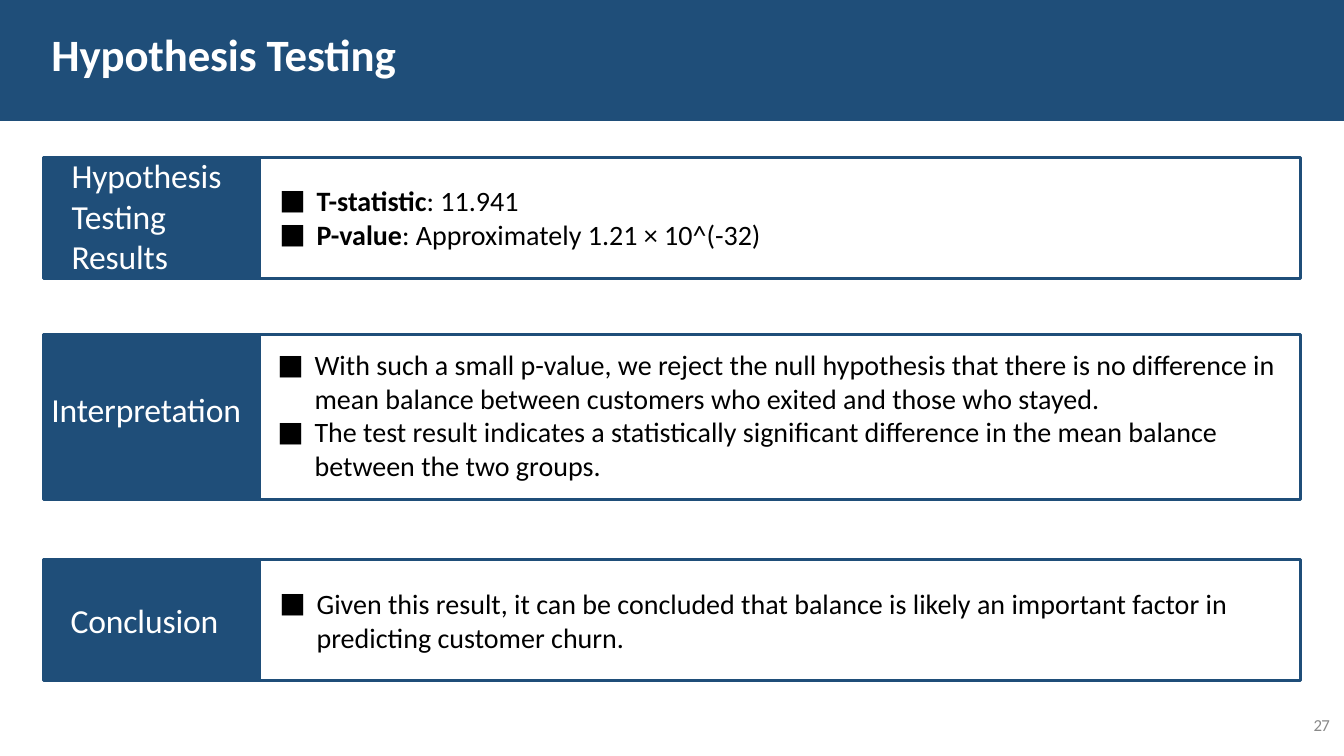
from lxml.etree import SubElement
from pptx import Presentation
from pptx.dml.color import RGBColor
from pptx.enum.shapes import MSO_SHAPE
from pptx.enum.text import MSO_ANCHOR, PP_ALIGN
from pptx.oxml.ns import qn
from pptx.util import Inches, Pt

COLORS = {"navy": "1F4E79", "white": "FFFFFF", "black": "000000", "gray": "898989"}
FONT = "Calibri"
LABEL_X, LABEL_W = 0.43, 2.14
BODY_X, BODY_W = 2.56, 10.34

SECTIONS = [
    {"top": 1.56, "height": 1.2,
     "label": "Hypothesis Testing Results", "label_box": (0.71, 1.53, 1.65, 1.23),
     "body_box": (2.75, 1.81, 5.29, 0.69),
     "bullets": [[("T-statistic", True), (": 11.941", False)],
                 [("P-value", True), (": Approximately 1.21 × 10^(-32)", False)]]},
    {"top": 3.32, "height": 1.64,
     "label": "Interpretation", "label_box": (0.51, 3.85, 1.99, 0.57),
     "body_box": (2.73, 3.44, 10.08, 1.86),
     "bullets": [[("With such a small p-value, we reject the null hypothesis that there is no "
                   "difference in mean balance between customers who exited and those who "
                   "stayed.", False)],
                 [("The test result indicates a statistically significant difference in the "
                   "mean balance between the two groups.", False)]]},
    {"top": 5.55, "height": 1.2,
     "label": "Conclusion", "label_box": (0.7, 5.94, 1.65, 0.42),
     "body_box": (2.75, 5.81, 10.05, 0.69),
     "bullets": [[("Given this result, it can be concluded that balance is likely an important "
                   "factor in predicting customer churn.", False)]]},
]


class SlideBuilder:
    """Holds the style and the current slide, and adds its elements."""

    def __init__(self, prs):
        self.s = prs.slides.add_slide(prs.slide_layouts[5])

    def color(self, name):
        return RGBColor.from_string(COLORS[name])

    def rect(self, x, y, w, h, fill=None, line=None):
        sp = self.s.shapes.add_shape(MSO_SHAPE.RECTANGLE, *map(Inches, (x, y, w, h)))
        sp.shadow.inherit = False
        if fill:
            sp.fill.solid()
            sp.fill.fore_color.rgb = self.color(fill)
        else:
            sp.fill.background()
        if line:
            sp.line.color.rgb = self.color(line)
            sp.line.width = Pt(2.25)
        else:
            sp.line.fill.background()
        return sp

    def banner(self, h):
        sp = self.rect(0, 0, 13.33, h, fill="navy")
        self.s.shapes._spTree.insert(2, sp._element)

    def fill_text(self, sp, paragraphs, size, color, bullet=False, spacing=0, before=1):
        tf = sp.text_frame
        tf.word_wrap = True
        tf.vertical_anchor = MSO_ANCHOR.TOP
        tf.margin_left = tf.margin_right = tf.margin_bottom = 0
        tf.margin_top = Inches(0.01)
        for i, runs in enumerate(paragraphs):
            p = tf.add_paragraph() if i else tf.paragraphs[0]
            p.alignment = PP_ALIGN.LEFT
            p.space_before = Pt(0 if i else before)
            if bullet:
                self.bullet(p)
            for text, bold in runs:
                r = p.add_run()
                r.text = text
                r.font.name = FONT
                r.font.size = Pt(size)
                r.font.bold = bold
                r.font.color.rgb = self.color(color)
                if spacing:
                    r.font._element.set("spc", str(spacing))

    def bullet(self, p):
        pPr = p._p.get_or_add_pPr()
        pPr.set("marL", str(Inches(0.39)))
        pPr.set("indent", str(Inches(-0.37)))
        SubElement(pPr, qn("a:buFont"), typeface=FONT)
        SubElement(pPr, qn("a:buChar"), char="■")

    def title(self, text, box):
        sp = self.s.shapes.title
        sp.left, sp.top, sp.width, sp.height = map(Inches, box)
        self.fill_text(sp, [[(text, True)]], 32, "white", spacing=-10)

    def text(self, box, paragraphs, size, color, **style):
        sp = self.s.shapes.add_textbox(*map(Inches, box))
        self.fill_text(sp, paragraphs, size, color, **style)

    def section(self, top, height, label, label_box, body_box, bullets):
        self.rect(LABEL_X, top, LABEL_W, height, fill="navy", line="navy")
        self.text(label_box, [[(label, False)]], 24, "white", spacing=-10)
        self.rect(BODY_X, top, BODY_W, height, line="navy")
        self.text(body_box, bullets, 20, "black", bullet=True)


def main():
    prs = Presentation()
    prs.slide_width, prs.slide_height = Inches(13.33), Inches(7.5)
    slide = SlideBuilder(prs)
    slide.banner(1.2)
    slide.title("Hypothesis Testing", (0.51, 0.26, 10.12, 0.56))
    for section in SECTIONS:
        slide.section(**section)
    slide.text((13.03, 7.08, 0.2, 0.21), [[("27", False)]], 12, "gray", spacing=-50, before=0.4)
    prs.save("out.pptx")


if __name__ == "__main__":
    main()
